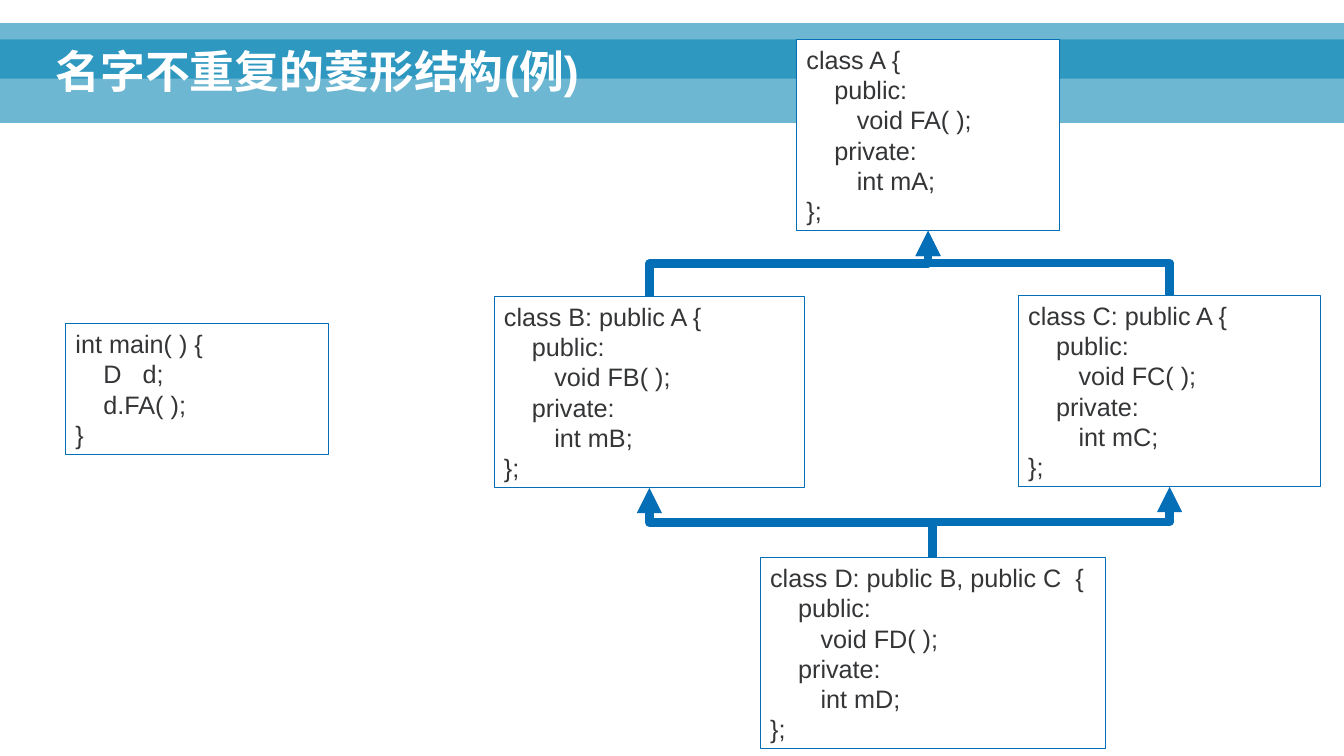
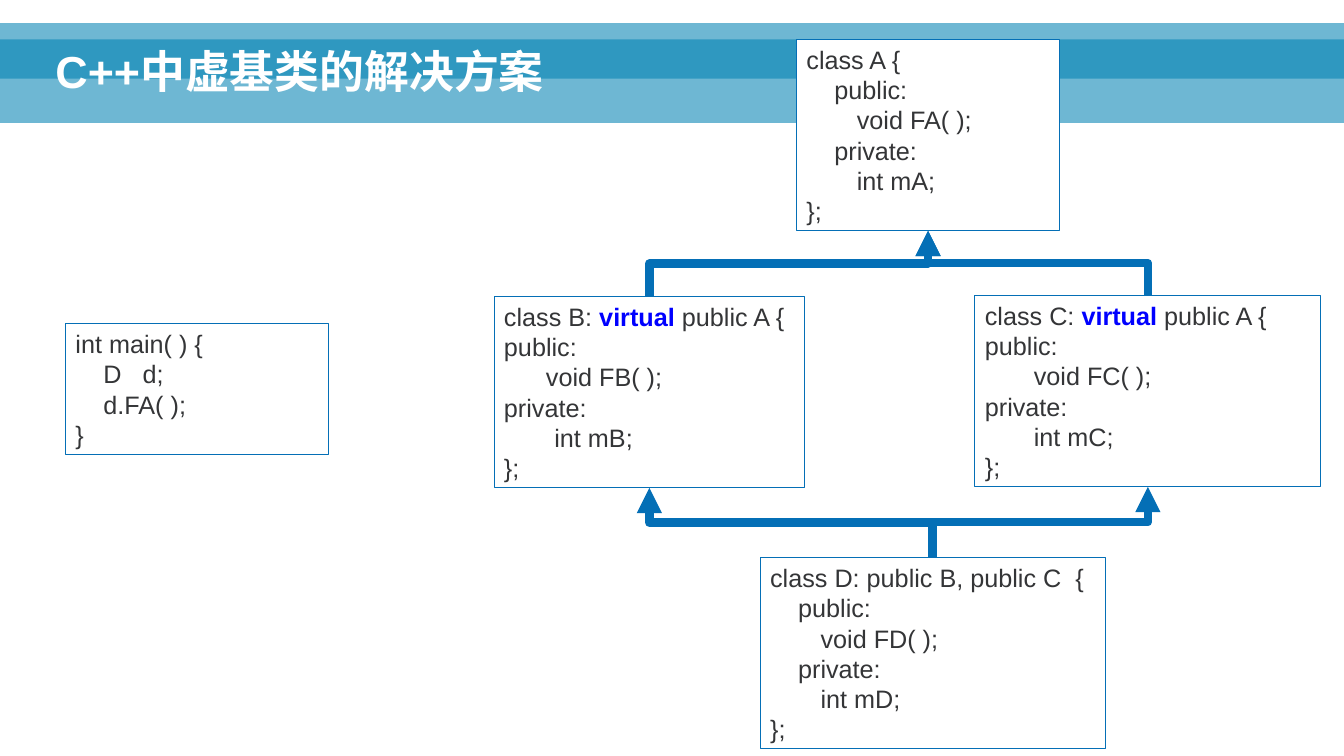
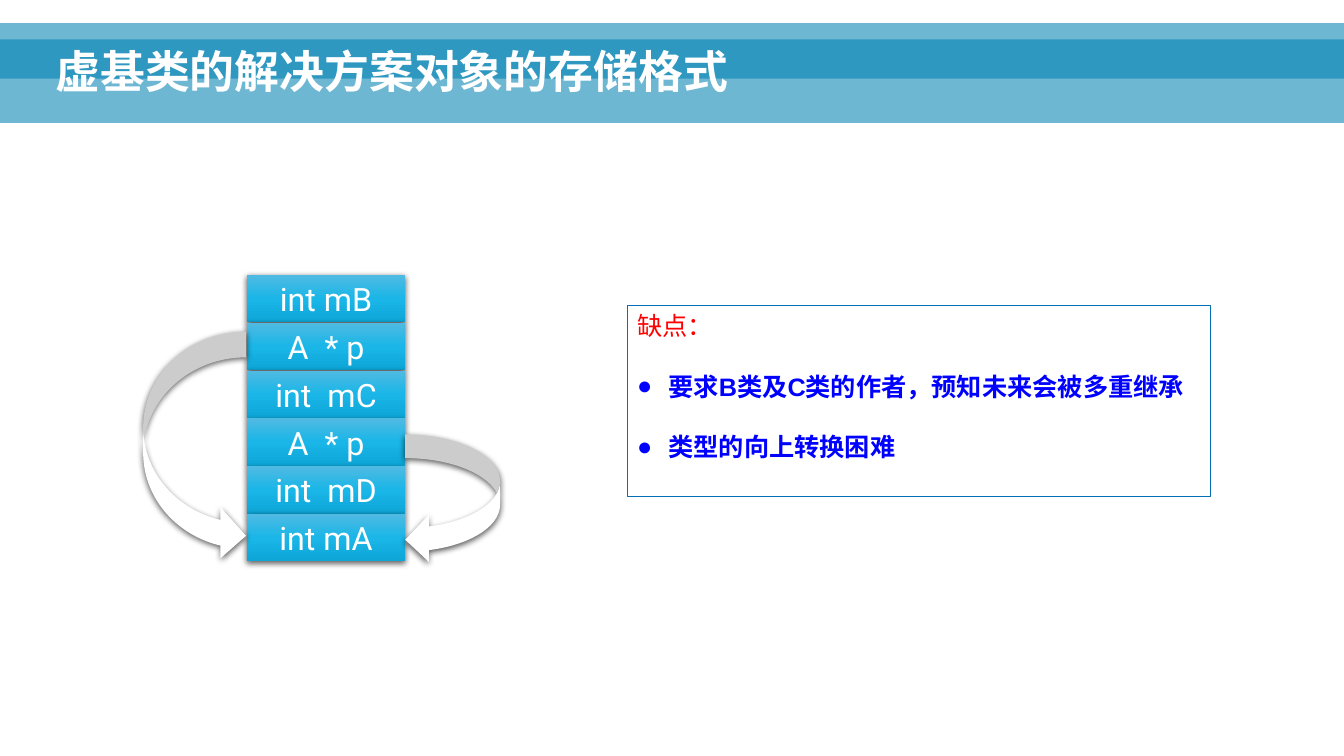
from dataclasses import dataclass

import lxml.etree
import pptx
import pptx.dml.color
import pptx.enum.shapes
import pptx.enum.text
import pptx.oxml.ns
import pptx.util

Inches = pptx.util.Inches
Pt = pptx.util.Pt
RGBColor = pptx.dml.color.RGBColor
Preset = pptx.enum.shapes.MSO_SHAPE
Anchor = pptx.enum.text.MSO_ANCHOR
Align = pptx.enum.text.PP_ALIGN
qn = pptx.oxml.ns.qn

WHITE = RGBColor(0xFF, 0xFF, 0xFF)
BAND_BLUE = RGBColor(0x00, 0x82, 0xB3)
LINE_BLUE = RGBColor(0x04, 0x6F, 0xB6)
CODE_GRAY = RGBColor(0x34, 0x35, 0x37)
KEYWORD_BLUE = RGBColor(0x00, 0x00, 0xFF)
WARNING_RED = RGBColor(0xFF, 0x00, 0x00)
BLACK = RGBColor(0x00, 0x00, 0x00)
CELL_GRADIENT = (
    (0, RGBColor(0x50, 0xBA, 0xE3)),
    (50, RGBColor(0x19, 0xB6, 0xE7)),
    (100, RGBColor(0x0D, 0xA6, 0xD7)),
)

TEXT_FONT = "Arial"
CELL_FONT = "Roboto"
KEYWORD = "virtual "
SLIDE_WIDTH, SLIDE_HEIGHT = 13.33, 7.5
TITLE_AND_CONTENT, TITLE_ONLY = 1, 5


@dataclass(frozen=True)
class Box:
    left: float
    top: float
    width: float
    height: float

    @property
    def top_point(self) -> tuple[float, float]:
        return self.left + self.width / 2, self.top

    @property
    def bottom_point(self) -> tuple[float, float]:
        return self.left + self.width / 2, self.top + self.height


@dataclass(frozen=True)
class CodeBox(Box):
    lines: tuple[str, ...]


TITLE_BOX = Box(0.45, 0.15, 11.98, 0.87)
BANDS = (Box(0, 0.39, SLIDE_WIDTH, 0.83), Box(0, 0.23, SLIDE_WIDTH, 0.55))


# Helpers
def add_element(parent, tag: str, **attributes):
    return lxml.etree.SubElement(parent, qn(tag), attributes)


def place(shape, box: Box) -> None:
    shape.left, shape.top = Inches(box.left), Inches(box.top)
    shape.width, shape.height = Inches(box.width), Inches(box.height)


def add_preset(slide, preset, box: Box, color: RGBColor):
    shape = slide.shapes.add_shape(
        preset, Inches(box.left), Inches(box.top), Inches(box.width), Inches(box.height)
    )
    shape.shadow.inherit = False
    shape.fill.solid()
    shape.fill.fore_color.rgb = color
    shape.line.fill.background()
    return shape


def add_run(paragraph, text: str, size: float, color: RGBColor,
            bold: bool = False, font: str = TEXT_FONT) -> None:
    run = paragraph.add_run()
    run.text = text
    run.font.name = font
    run.font.size = Pt(size)
    run.font.bold = bold
    run.font.color.rgb = color


def prepare_frame(shape, anchor):
    frame = shape.text_frame
    frame.word_wrap = True
    frame.auto_size = pptx.enum.text.MSO_AUTO_SIZE.NONE
    frame.vertical_anchor = anchor
    return frame


def outline(shape) -> None:
    shape.fill.solid()
    shape.fill.fore_color.rgb = WHITE
    shape.line.color.rgb = LINE_BLUE
    shape.line.width = Pt(0.75)


def add_soft_shadow(shape) -> None:
    effects = shape.element.spPr.find(qn("a:effectLst"))
    shadow = add_element(effects, "a:outerShdw", blurRad=str(Pt(4.5)), dist=str(Pt(1.5)),
                         dir="5400000", algn="ctr", rotWithShape="0")
    color = add_element(shadow, "a:srgbClr", val=str(BLACK))
    add_element(color, "a:alpha", val="63000")


# Shared title and bands
def add_titled_slide(presentation, layout_index: int, title: str):
    slide = presentation.slides.add_slide(presentation.slide_layouts[layout_index])
    place(slide.shapes.title, TITLE_BOX)
    paragraph = prepare_frame(slide.shapes.title, Anchor.BOTTOM).paragraphs[0]
    paragraph.alignment = Align.LEFT
    paragraph.line_spacing = 0.9
    add_run(paragraph, title, 32, WHITE, bold=True)
    return slide


def add_master_bands(presentation) -> None:
    master_tree = presentation.slide_master.shapes.element
    for index, box in enumerate(BANDS):
        band = add_preset(presentation.slides[0], Preset.RECTANGLE, box, BAND_BLUE)
        color = band.element.spPr.find(qn("a:solidFill")).find(qn("a:srgbClr"))
        add_element(color, "a:alpha", val="57000")
        band.element.nvSpPr.cNvPr.set("id", str(101 + index))
        master_tree.insert(2 + index, band.element)


# Class diagrams
def class_code(name: str, bases: str = "", label_indent: str = "    ",
               function_indent: str = "\t", field_indent: str = "\t") -> tuple[str, ...]:
    return (
        f"class {name}{bases} {{",
        f"{label_indent}public:",
        f"{function_indent}void F{name}( );",
        f"{label_indent}private:",
        f"{field_indent}int m{name};",
        "};",
    )


CLASS_A = CodeBox(7.9, 0.39, 2.61, 1.9, class_code("A"))
CLASS_D = CodeBox(7.54, 5.53, 3.42, 1.9, class_code("D", ": public B, public C "))
MAIN = CodeBox(0.65, 3.21, 2.61, 1.3, ("int main( ) {", "    D   d;", "    d.FA( );", "}"))


def add_code_box(slide, box: CodeBox) -> None:
    shape = add_preset(slide, Preset.RECTANGLE, box, WHITE)
    outline(shape)
    frame = prepare_frame(shape, Anchor.TOP)
    for index, line in enumerate(box.lines):
        paragraph = frame.add_paragraph() if index else frame.paragraphs[0]
        paragraph.alignment = Align.LEFT
        for text in line.partition(KEYWORD):
            if text == KEYWORD:
                add_run(paragraph, text, 18, KEYWORD_BLUE, bold=True)
            elif text:
                add_run(paragraph, text, 18, CODE_GRAY)


def add_upward_arrow(slide, start: tuple[float, float], end: tuple[float, float]) -> None:
    """Elbow arrow that leaves upwards: a flat elbow turned by 270 degrees."""
    center_x, center_y = (start[0] + end[0]) / 2, (start[1] + end[1]) / 2
    half_rise, half_run = (start[1] - end[1]) / 2, (end[0] - start[0]) / 2
    connector = slide.shapes.add_connector(
        pptx.enum.shapes.MSO_CONNECTOR.ELBOW,
        Inches(center_x - half_rise), Inches(center_y - half_run),
        Inches(center_x + half_rise), Inches(center_y + half_run),
    )
    connector.line.color.rgb = LINE_BLUE
    connector.line.width = Pt(6)
    properties = connector.element.spPr
    properties.find(qn("a:xfrm")).set("rot", str(270 * 60000))
    add_element(properties.find(qn("a:ln")), "a:tailEnd", type="triangle")
    add_element(properties, "a:effectLst")


def add_diamond_slide(presentation, title: str, class_b: CodeBox, class_c: CodeBox) -> None:
    slide = add_titled_slide(presentation, TITLE_ONLY, title)
    for middle in (class_b, class_c):
        add_upward_arrow(slide, middle.top_point, CLASS_A.bottom_point)
        add_upward_arrow(slide, CLASS_D.top_point, middle.bottom_point)
    for box in (class_c, class_b, CLASS_A, CLASS_D, MAIN):
        add_code_box(slide, box)


# Memory layout
MEMORY_CELLS = ("int mB", "A  * p", "int  mC", "A  * p", "int  mD", "int mA")
FIRST_CELL = Box(2.45, 2.73, 1.57, 0.47)
LAST_CELL_TOP = 5.1


def add_memory_cell(slide, box: Box, text: str) -> None:
    cell = add_preset(slide, Preset.RECTANGLE, box, WHITE)
    cell.fill.gradient()
    cell.fill.gradient_angle = 270
    stops = cell.element.spPr.find(qn("a:gradFill")).find(qn("a:gsLst"))
    for stop in list(stops):
        stops.remove(stop)
    for position, color in CELL_GRADIENT:
        stop = add_element(stops, "a:gs", pos=str(position * 1000))
        add_element(stop, "a:srgbClr", val=str(color))
    add_soft_shadow(cell)
    paragraph = prepare_frame(cell, Anchor.MIDDLE).paragraphs[0]
    paragraph.alignment = Align.CENTER
    add_run(paragraph, text, 23, WHITE, font=CELL_FONT)


def add_pointer(slide, box: Box, mirrored: bool) -> None:
    arrow = add_preset(slide, Preset.CURVED_RIGHT_ARROW, box, WHITE)
    if mirrored:
        arrow.element.spPr.find(qn("a:xfrm")).set("flipH", "1")
    add_soft_shadow(arrow)


def add_drawbacks(slide, heading: str, drawbacks: tuple[str, ...]) -> None:
    body = slide.placeholders[1]
    place(body, Box(6.22, 3.03, 5.79, 1.9))
    outline(body)
    frame = prepare_frame(body, Anchor.TOP)

    paragraph = frame.paragraphs[0]
    properties = paragraph._p.get_or_add_pPr()
    properties.set("marL", "0")
    properties.set("indent", "0")
    add_element(properties, "a:buNone")
    paragraph.space_before = Pt(0)
    add_run(paragraph, heading, 18, WARNING_RED)

    for drawback in drawbacks:
        paragraph = frame.add_paragraph()
        properties = paragraph._p.get_or_add_pPr()
        properties.set("marL", str(Inches(0.31)))
        properties.set("indent", str(-Inches(0.31)))
        add_element(properties, "a:buFont", typeface=TEXT_FONT)
        add_element(properties, "a:buChar", char="●")
        paragraph.space_before = Pt(21.6)
        add_run(paragraph, drawback, 18, KEYWORD_BLUE, bold=True)


def add_memory_slide(presentation) -> None:
    slide = add_titled_slide(presentation, TITLE_AND_CONTENT, "虚基类的解决方案对象的存储格式")
    pitch = (LAST_CELL_TOP - FIRST_CELL.top) / (len(MEMORY_CELLS) - 1)
    for index, text in enumerate(MEMORY_CELLS):
        top = FIRST_CELL.top + index * pitch
        add_memory_cell(slide, Box(FIRST_CELL.left, top, FIRST_CELL.width, FIRST_CELL.height), text)
    add_pointer(slide, Box(1.42, 3.29, 1.02, 2.28), mirrored=False)
    add_pointer(slide, Box(4.02, 4.31, 0.94, 1.28), mirrored=True)
    add_drawbacks(slide, "缺点：", (
        "要求B类及C类的作者，预知未来会被多重继承",
        "类型的向上转换困难",
    ))


def main() -> None:
    presentation = pptx.Presentation()
    presentation.slide_width = Inches(SLIDE_WIDTH)
    presentation.slide_height = Inches(SLIDE_HEIGHT)

    add_diamond_slide(
        presentation, "名字不重复的菱形结构(例)",
        CodeBox(4.9, 2.94, 3.08, 1.9, class_code("B", ": public A")),
        CodeBox(10.1, 2.93, 3, 1.9, class_code("C", ": public A")),
    )
    virtual_base = f": {KEYWORD}public A"
    add_diamond_slide(
        presentation, "C++中虚基类的解决方案",
        CodeBox(4.9, 2.94, 3.08, 1.9, class_code("B", virtual_base, "", " " * 6)),
        CodeBox(9.67, 2.93, 3.43, 1.9, class_code("C", virtual_base, "", " " * 7, " " * 7)),
    )
    add_memory_slide(presentation)
    add_master_bands(presentation)
    presentation.save("out.pptx")


if __name__ == "__main__":
    main()
